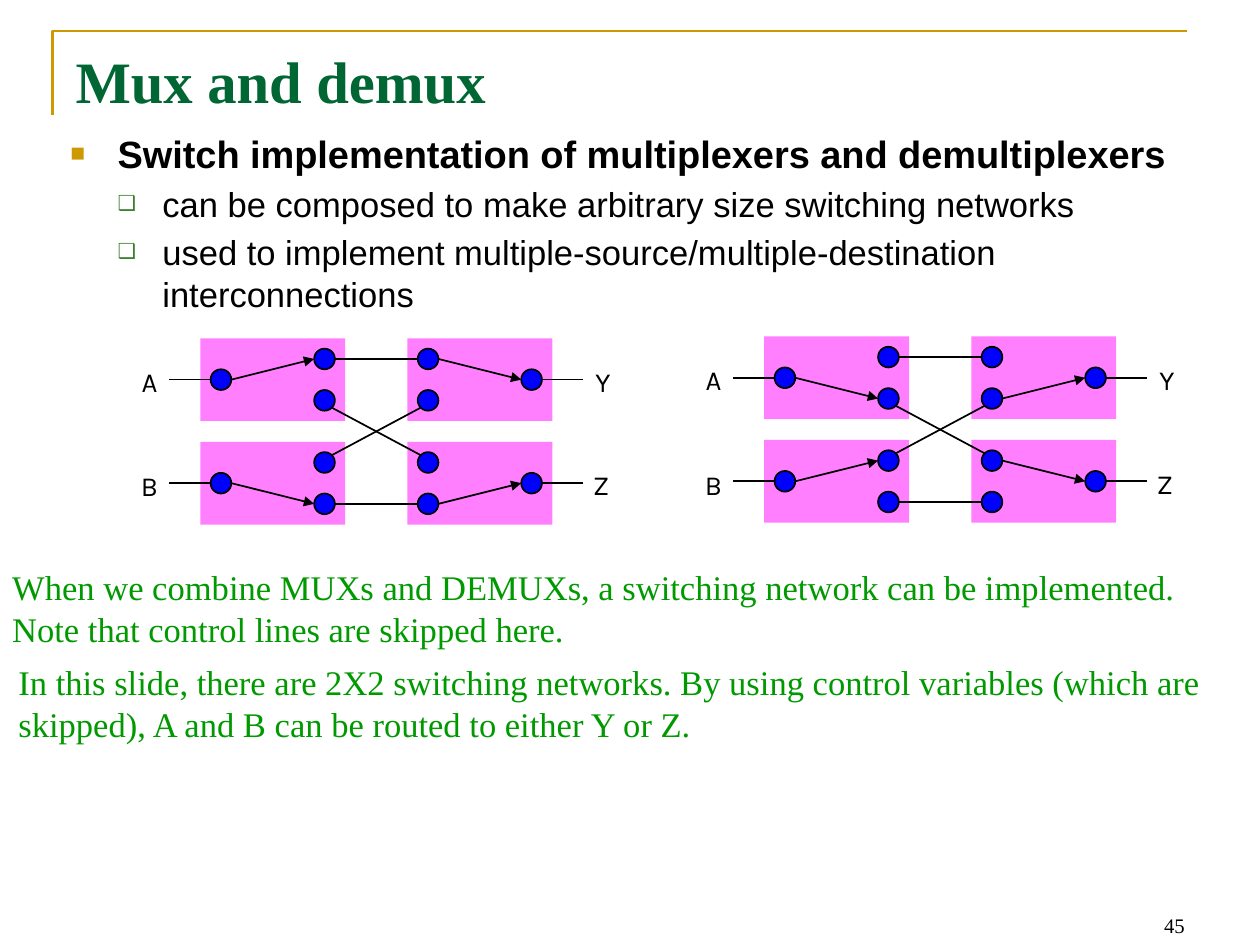
from lxml import etree
from pptx import Presentation
from pptx import util as u
from pptx.dml import color
from pptx.enum import shapes, text
from pptx.oxml import ns

U = u.Inches(1 / 6)


def hue(part, code):
    part.rgb = color.RGBColor.from_string(code)


def write(frame, words, size, font="Times New Roman", ink="000000", bold=False,
          align=text.PP_ALIGN.LEFT, level=0, lead=None, first=True):
    para = frame.paragraphs[0] if first else frame.add_paragraph()
    para.alignment, para.level = align, level
    if lead:
        para.line_spacing = u.Pt(lead)
    run = para.add_run()
    run.text = words
    run.font.size, run.font.name, run.font.bold = u.Pt(size), font, bold
    hue(run.font.color, ink)
    return para


deck = Presentation()
deck.slide_width, deck.slide_height = int(60.84 * U), int(45.6 * U)
slide = deck.slides.add_slide(deck.slide_layouts[1])
title, body = slide.placeholders

pen = slide.shapes.build_freeform(int(2.55 * U), int(5.55 * U))
pen.add_line_segments([(int(x * U), int(1.5 * U)) for x in (2.55, 57.3)], close=False)
edge = pen.convert_to_shape()
edge.shadow.inherit = False
edge.fill.background()
edge.line.width = u.Pt(1.5)
hue(edge.line.color, "CC9900")

for holder, spot in ((title, (3.05, 1.85, 54.75, 7.55)), (body, (2.8, 6, 54.75, 30.1))):
    holder.left, holder.top, holder.width, holder.height = [int(v * U) for v in spot]
    holder.text_frame.auto_size = text.MSO_AUTO_SIZE.NONE
    holder.text_frame.vertical_anchor = text.MSO_ANCHOR.TOP
write(title.text_frame, "Mux and demux", 34, ink="006633", bold=True)

points = (
    ("Switch implementation of multiplexers and demultiplexers", 0),
    ("can be composed to make arbitrary size switching networks", 1),
    ("used to implement multiple-source/multiple-destination interconnections", 1),
)
marks = (("■", "CC9900", 65, 0.38, 0.38, 22), ("❑", "3B812F", 60, 0.74, 0.36, 20))
for n, (words, level) in enumerate(points):
    sign, tint, share, left, hang, size = marks[level]
    para = write(body.text_frame, words, size, font="Arial", bold=level == 0,
                 level=level, first=n == 0)
    props = para._p.get_or_add_pPr()
    props.set("marL", str(u.Inches(left)))
    props.set("indent", str(-u.Inches(hang)))
    paint = etree.SubElement(props, ns.qn("a:buClr"))
    etree.SubElement(paint, ns.qn("a:srgbClr"), val=tint)
    etree.SubElement(props, ns.qn("a:buSzPct"), val=str(share * 1000))
    etree.SubElement(props, ns.qn("a:buFont"), typeface="Arial")
    etree.SubElement(props, ns.qn("a:buChar"), char=sign)

for left, top, ends in ((9.67, 16.34, (1, 8)), (36.9, 16.25, (3, 6))):
    net = slide.shapes.add_group_shape().shapes

    for x in (0, 10):
        for y in (0, 5):
            block = net.add_shape(shapes.MSO_SHAPE.RECTANGLE, int((left + x) * U),
                                  int((top + y) * U), 7 * U, 4 * U)
            block.shadow.inherit = False
            block.line.fill.background()
            block.fill.solid()
            hue(block.fill.fore_color, "FF00FF")
            tone = block.fill._xPr.find(".//" + ns.qn("a:srgbClr"))
            etree.SubElement(tone, ns.qn("a:alpha"), val="50000")

    for name, x, y in (("A", -3.4, 0.95), ("B", -3.4, 6), ("Y", 18.5, 0.95), ("Z", 18.4, 5.95)):
        label = net.add_textbox(int((left + x) * U), int((top + y) * U),
                                int(1.9 * U), int(2.6 * U)).text_frame
        label.word_wrap = False
        label.margin_left = label.margin_right = u.Inches(0.02)
        label.margin_top = label.margin_bottom = u.Inches(0.03)
        write(label, name, 16, font="Karla", align=text.PP_ALIGN.CENTER, lead=21)

    dots = [(x, y) for x in (1, 16) for y in (2, 7)]
    dots += [(x, y) for x in (6, 11) for y in (1, 3, 6, 8)]
    for x, y in dots:
        dot = net.add_shape(shapes.MSO_SHAPE.OVAL, int((left + x - 0.5) * U),
                            int((top + y - 0.5) * U), U, U)
        dot.shadow.inherit = False
        dot.fill.solid()
        hue(dot.fill.fore_color, "0000FF")
        dot.line.width = u.Pt(1)
        hue(dot.line.color, "000000")

    wires = [(6.5, y, 10.5, y, False) for y in (1, 8)]
    wires += [(6.35, 3.35, 10.65, 5.65, False), (6.35, 5.65, 10.65, 3.35, False)]
    for y, end in zip((2, 7), ends):
        wires += [(-1.5, y, 0.5, y, False), (16.5, y, 18.5, y, False),
                  (1.5, y, 5.5, end, True), (11.5, end, 15.5, y, True)]
    for x1, y1, x2, y2, arrow in wires:
        wire = net.add_connector(shapes.MSO_CONNECTOR.STRAIGHT,
                                 int((left + x1) * U), int((top + y1) * U),
                                 int((left + x2) * U), int((top + y2) * U))
        wire.line.width = u.Pt(1)
        hue(wire.line.color, "000000")
        if arrow:
            etree.SubElement(wire.line._get_or_add_ln(), ns.qn("a:tailEnd"), type="triangle")
        etree.SubElement(wire._element.spPr, ns.qn("a:effectLst"))

notes = (
    ("When we combine MUXs and DEMUXs, a switching network can be implemented. "
     "Note that control lines are skipped here.", 0, 27.05),
    ("In this slide, there are 2X2 switching networks. By using control variables "
     "(which are skipped), A and B can be routed to either Y or Z.", 0.3, 31.65),
)
for words, x, y in notes:
    note = slide.shapes.add_textbox(int(x * U), int(y * U), deck.slide_width, int(4.6 * U)).text_frame
    note.word_wrap = True
    note.auto_size = text.MSO_AUTO_SIZE.SHAPE_TO_FIT_TEXT
    write(note, words, 20, ink="009900")

page = slide.shapes.add_textbox(*[int(v * U) for v in (43.6, 42.55, 14.2, 3.05)]).text_frame
page.word_wrap = True
page.vertical_anchor = text.MSO_ANCHOR.BOTTOM
write(page, "45", 12, align=text.PP_ALIGN.RIGHT)

deck.save("out.pptx")
